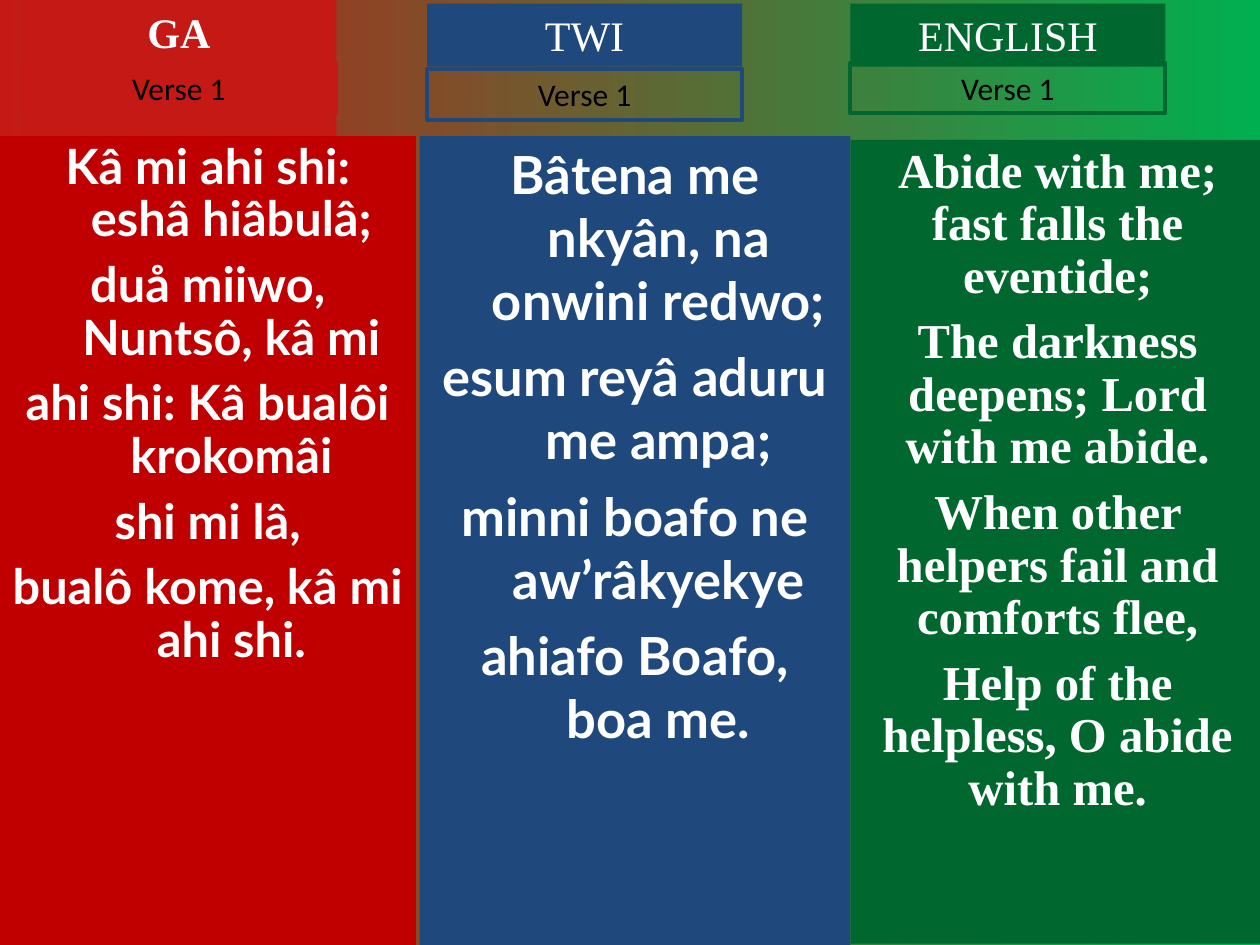
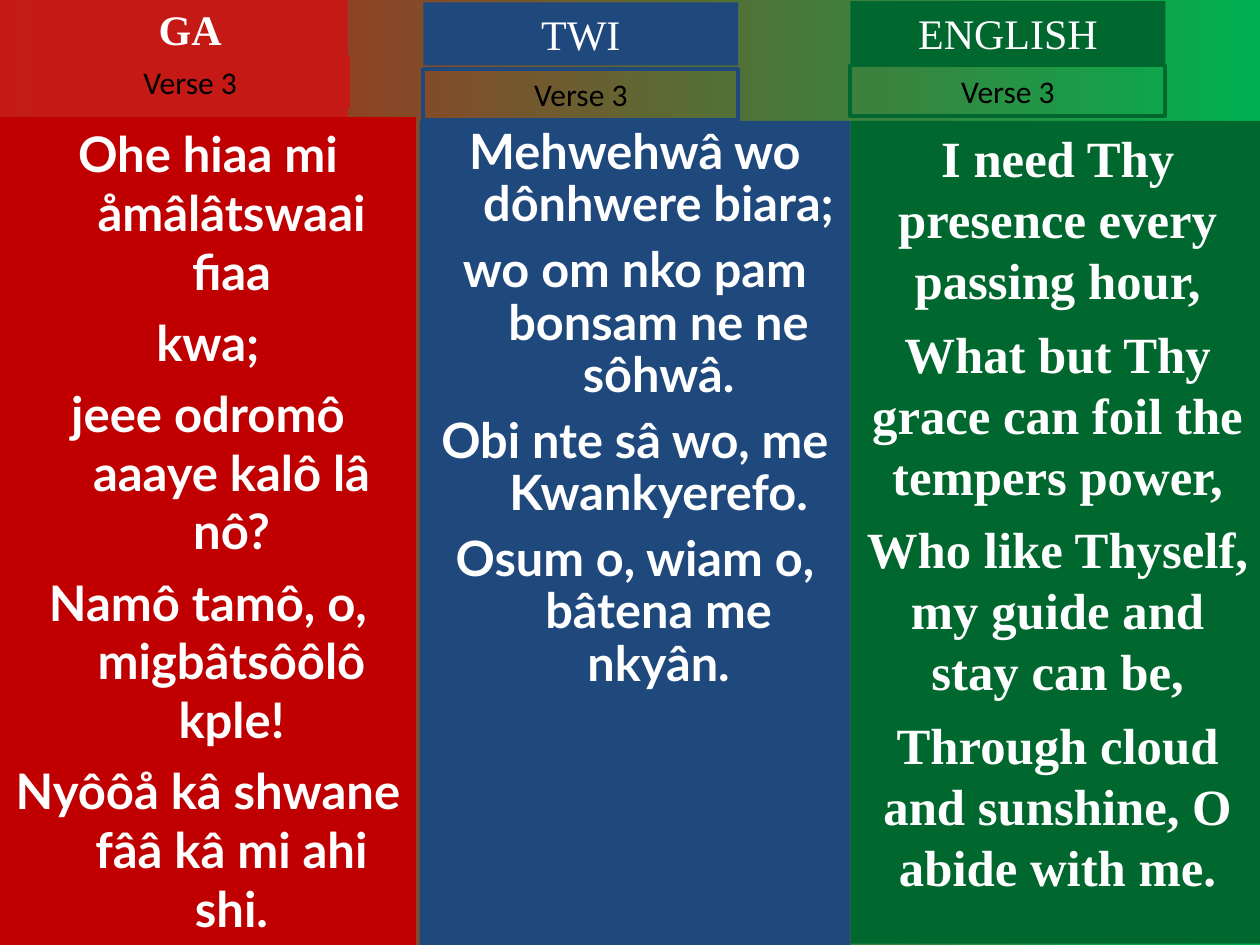
from lxml import etree
from pptx import Presentation
from pptx import util as u
from pptx.dml import color
from pptx.enum import shapes, text
from pptx.oxml import ns

BRIGHT_RED, GREEN_END = "C51915", "00B050"
DEEP_RED, BLUE, DARK_GREEN = "C00000", "1F497D", "00682F"
WHITE, BLACK = "FFFFFF", "000000"
SERIF, LYRIC_FONT, LABEL_FONT = "Times New Roman", "Lato", "Calibri"
HEADING_W, HEADING_H, LABEL_H = 180, 36, 28.8
HANGING = 27

LANGUAGES = [
    {"name": "GA", "accent": BRIGHT_RED, "panel": DEEP_RED, "bold": True,
     "left": 0, "width": 237.6, "bottom": 540, "font": LYRIC_FONT, "indent": HANGING},
    {"name": "TWI", "accent": BLUE, "panel": BLUE, "bold": False,
     "left": 239.76, "width": 246.24, "bottom": 540, "font": LYRIC_FONT, "indent": HANGING},
    {"name": "ENGLISH", "accent": DARK_GREEN, "panel": DARK_GREEN, "bold": False,
     "left": 486, "width": 236.88, "bottom": 539.28, "font": SERIF, "indent": 0},
]

VERSES = [
    ("Verse 1", [
        {"heading": (12.24, 0), "label_top": 36, "top": 77.76,
         "size": 27.8, "spacing": 0.9, "before": 7.5,
         "lines": ["Kâ mi ahi shi: eshâ hiâbulâ;",
                   "duå miiwo, Nuntsô, kâ mi",
                   "ahi shi: Kâ bualôi krokomâi",
                   "shi mi lâ,",
                   "bualô kome, kâ mi ahi shi."]},
        {"heading": (244.08, 2.16), "label_top": 39.6, "top": 77.76,
         "size": 30, "spacing": 1.0, "before": 7.5,
         "lines": ["Bâtena me nkyân, na onwini redwo;",
                   "esum reyâ aduru me ampa;",
                   "minni boafo ne aw’râkyekye",
                   "ahiafo Boafo, boa me."]},
        {"heading": (486, 2.16), "label_top": 36, "top": 79.92,
         "size": 27.8, "spacing": 0.9, "before": 7.5,
         "lines": ["Abide with me; fast falls the eventide;",
                   "The darkness deepens; Lord with me abide.",
                   "When other helpers fail and comforts flee,",
                   "Help of the helpless, O abide with me."]},
    ]),
    ("Verse 3", [
        {"heading": (18.72, -1.44), "label_top": 32.4, "top": 66.96,
         "size": 28, "spacing": 1.0, "before": 7,
         "lines": ["Ohe hiaa mi åmâlâtswaai fiaa",
                   "kwa;",
                   "jeee odromô aaaye kalô lâ nô?",
                   "Namô tamô, o, migbâtsôôlô kple!",
                   "Nyôôå kâ shwane fââ kâ mi ahi shi."]},
        {"heading": (241.92, 1.44), "label_top": 39.6, "top": 69.12,
         "size": 27.8, "spacing": 0.9, "before": 7.5,
         "lines": ["Mehwehwâ wo dônhwere biara;",
                   "wo om nko pam bonsam ne ne sôhwâ.",
                   "Obi nte sâ wo, me Kwankyerefo.",
                   "Osum o, wiam o, bâtena me nkyân."]},
        {"heading": (486, 0.72), "label_top": 37.44, "top": 69.12,
         "size": 29, "spacing": 1.0, "before": 7.3,
         "lines": ["I need Thy presence every passing hour,",
                   "What but Thy grace can foil the tempers power,",
                   "Who like Thyself, my guide and stay can be,",
                   "Through cloud and sunshine, O abide with me."]},
    ]),
]


def rgb(value):
    return color.RGBColor.from_string(value)


def fill_box(box, area, lines, font, ink, fill=None, line=None,
             indent=0, spacing=1.0, before=0, grow=True):
    for side, points in zip(("left", "top", "width", "height"), area):
        setattr(box, side, u.Pt(points))
    if fill:
        box.fill.solid()
        box.fill.fore_color.rgb = rgb(fill)
    else:
        box.fill.background()
    if line:
        box.line.color.rgb = rgb(line)
        box.line.width = u.Pt(2.25)
    else:
        box.line.fill.background()
    frame = box.text_frame
    fit = text.MSO_AUTO_SIZE.SHAPE_TO_FIT_TEXT if grow else text.MSO_AUTO_SIZE.NONE
    frame_format = {"word_wrap": True, "auto_size": fit,
                    "vertical_anchor": text.MSO_ANCHOR.TOP,
                    "margin_left": u.Pt(7.2), "margin_right": u.Pt(7.2),
                    "margin_top": u.Pt(3.6), "margin_bottom": u.Pt(3.6)}
    for key, value in frame_format.items():
        setattr(frame, key, value)
    for number, words in enumerate(lines):
        paragraph = frame.add_paragraph() if number else frame.paragraphs[0]
        props = paragraph._p.get_or_add_pPr()
        props.set("marL", str(u.Pt(indent)))
        props.set("indent", str(-u.Pt(indent)))
        etree.SubElement(props, ns.qn("a:buNone"))
        paragraph_format = {"alignment": text.PP_ALIGN.CENTER, "line_spacing": spacing,
                            "space_before": u.Pt(before if number else 0)}
        for key, value in paragraph_format.items():
            setattr(paragraph, key, value)
        run = paragraph.add_run()
        run.text = words
        for key, value in font.items():
            setattr(run.font, key, value)
        run.font.color.rgb = rgb(ink)


prs = Presentation()
prs.slide_width, prs.slide_height = u.Pt(720), u.Pt(540)

for verse_label, columns in VERSES:
    slide = prs.slides.add_slide(prs.slide_layouts[3])
    backdrop = slide.background.fill
    backdrop.gradient()
    backdrop.gradient_angle = 0
    for stop, shade in zip(backdrop.gradient_stops, (BRIGHT_RED, GREEN_END)):
        stop.color.rgb = rgb(shade)

    headings, labels, panels = [slide.shapes.title], [], list(slide.placeholders)[1:]
    for group, count in ((headings, 2), (labels, 3), (panels, 1)):
        for _ in range(count):
            box = slide.shapes.add_shape(shapes.MSO_SHAPE.RECTANGLE, 0, 0, 0, 0)
            box.shadow.inherit = False
            group.append(box)

    for language, verse, heading, label, panel in zip(
            LANGUAGES, columns, headings, labels, panels):
        x, y = verse["heading"]
        fill_box(heading, (x, y, HEADING_W, HEADING_H), [language["name"]],
                 {"name": SERIF, "size": u.Pt(24), "bold": language["bold"]},
                 WHITE, fill=language["accent"])
        fill_box(label, (x, verse["label_top"], HEADING_W, LABEL_H), [verse_label],
                 {"name": LABEL_FONT, "size": u.Pt(18), "bold": False},
                 BLACK, line=language["accent"])
        fill_box(panel, (language["left"], verse["top"], language["width"],
                         language["bottom"] - verse["top"]), verse["lines"],
                 {"name": language["font"], "size": u.Pt(verse["size"]), "bold": True},
                 WHITE, fill=language["panel"], indent=language["indent"],
                 spacing=verse["spacing"], before=verse["before"], grow=False)

prs.save("out.pptx")
